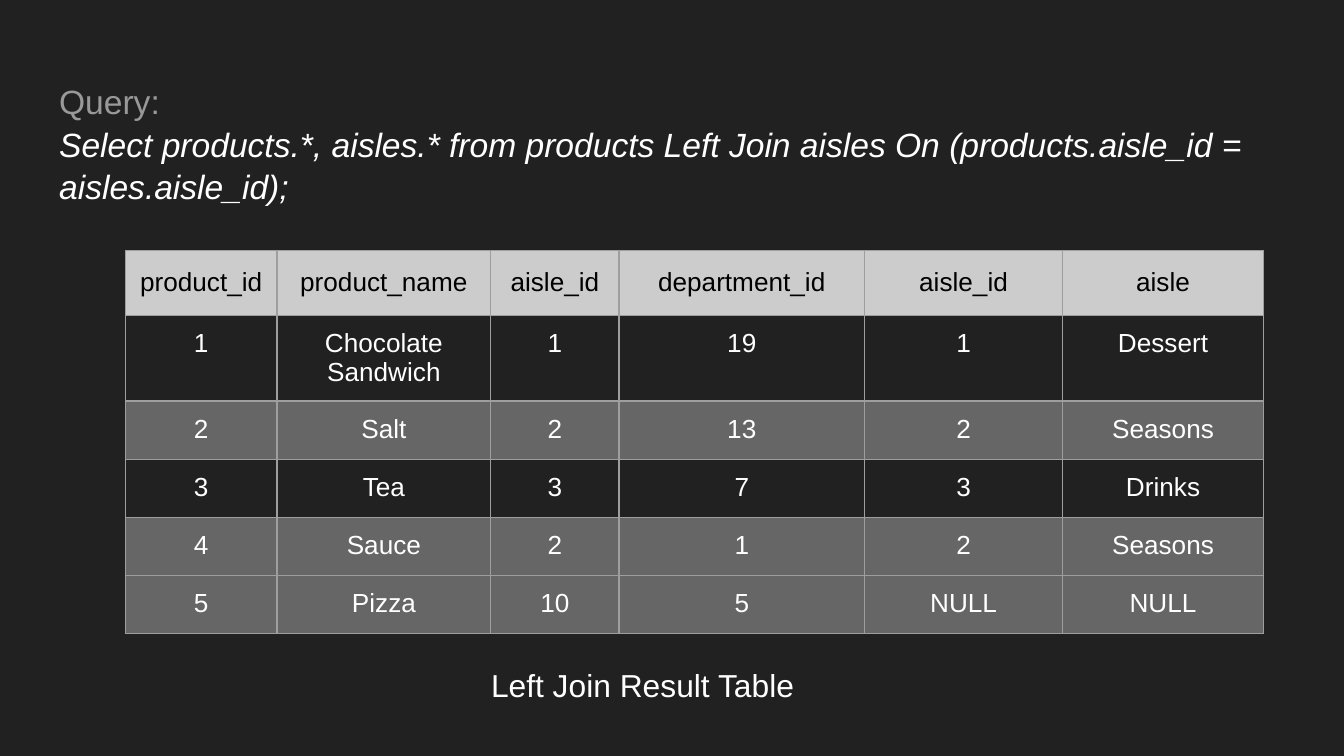
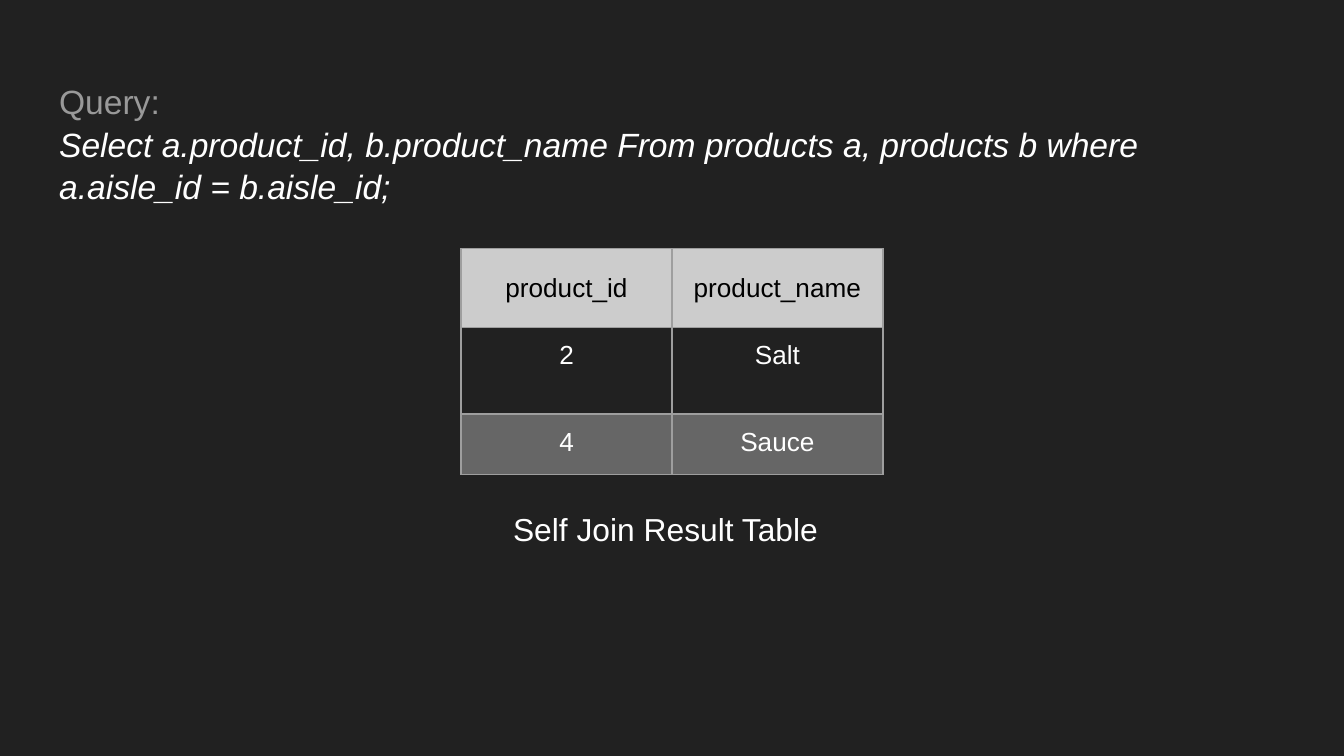
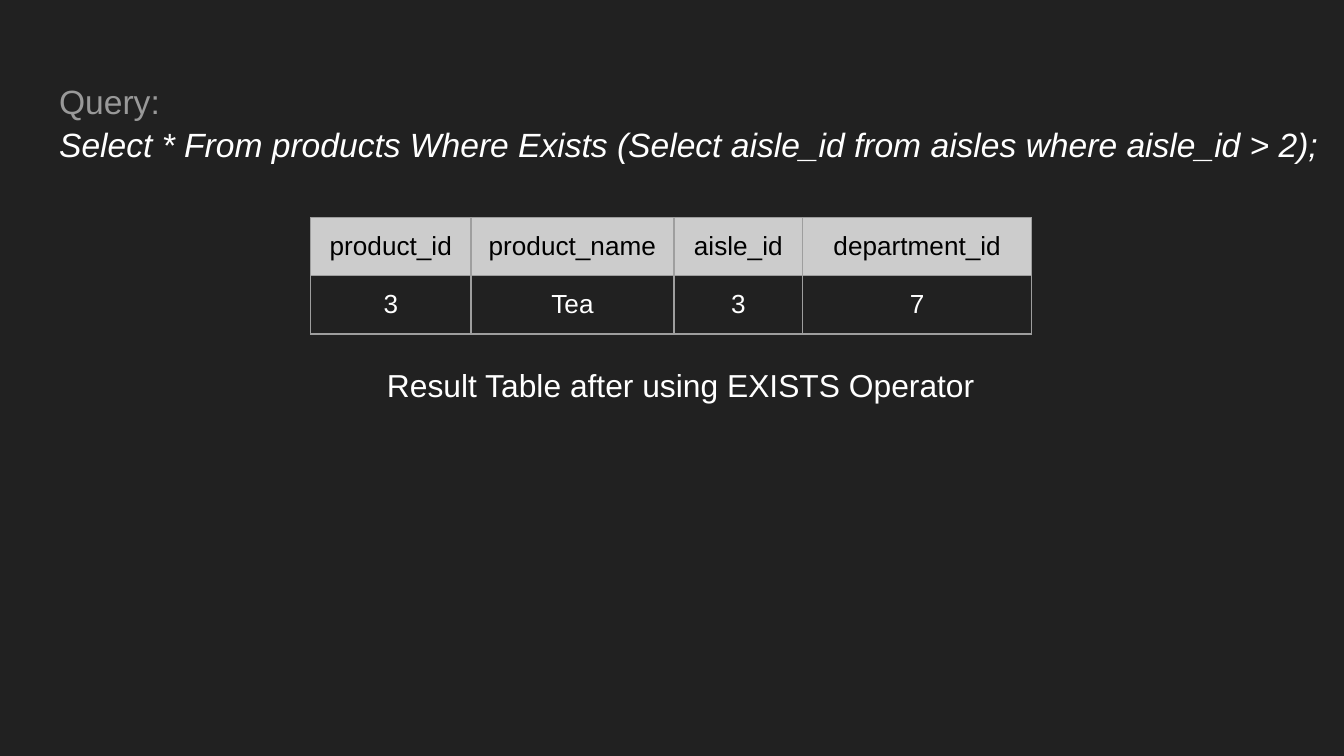
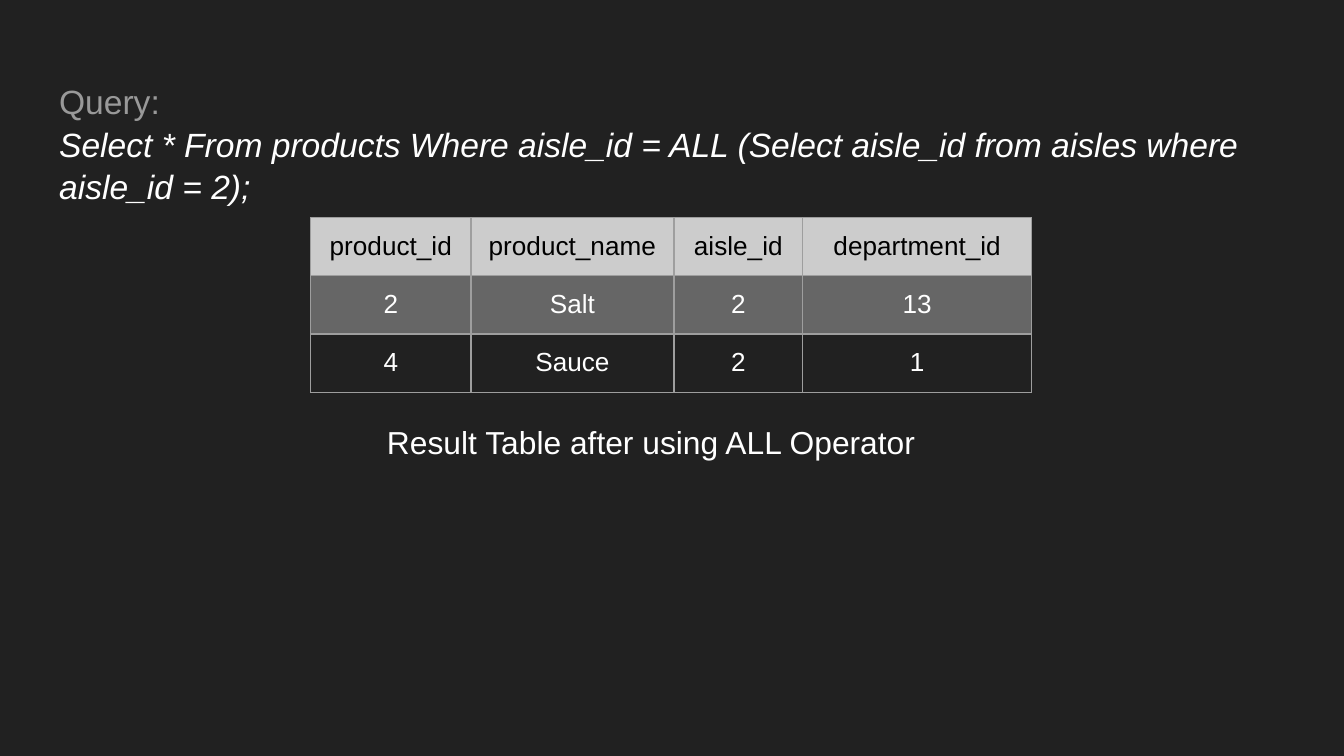
"""Build four slides that show SQL queries with their result tables."""
from dataclasses import dataclass

from lxml import etree
from pptx import Presentation
from pptx.dml.color import RGBColor
from pptx.enum.text import MSO_ANCHOR, MSO_AUTO_SIZE, PP_ALIGN
from pptx.oxml.ns import qn
from pptx.util import Pt

LEFT, CENTER = PP_ALIGN.LEFT, PP_ALIGN.CENTER
TOP, MIDDLE = MSO_ANCHOR.TOP, MSO_ANCHOR.MIDDLE
NO_FIT = MSO_AUTO_SIZE.NONE
TITLE_ONLY = 5


@dataclass(frozen=True)
class Theme:
    font: str = "Arial"
    background: str = "212121"
    text: str = "FFFFFF"
    label: str = "999999"
    header_text: str = "000000"
    header_fill: str = "CCCCCC"
    shade: str = "666666"
    border: str = "9E9E9E"
    query_size: float = 18
    caption_size: float = 17
    cell_size: float = 14
    border_width: float = 0.75
    inset: float = 7.2
    spacing: float = 1.05


def write(p, text, *, font, size, color, italic=False, align=LEFT, spacing=1.0):
    p.alignment = align
    p.line_spacing = spacing
    p.space_before = p.space_after = Pt(0)
    r = p.add_run()
    r.text = text
    r.font.name = font
    r.font.size = Pt(size)
    r.font.italic = italic
    r.font.bold = False
    r.font.color.rgb = RGBColor.from_string(color)


class Deck:
    def __init__(self, theme):
        self.theme = theme
        self.prs = Presentation()
        self.prs.slide_width, self.prs.slide_height = Pt(720), Pt(405)
        fill = self.prs.slide_master.background.fill
        fill.solid()
        fill.fore_color.rgb = RGBColor.from_string(theme.background)
        self.slide = None

    def add_slide(self):
        self.slide = self.prs.slides.add_slide(self.prs.slide_layouts[TITLE_ONLY])

    def set_margins(self, item):
        item.margin_left = item.margin_right = Pt(self.theme.inset)
        item.margin_top = item.margin_bottom = Pt(self.theme.inset)

    def set_frame(self, sp):
        tf = sp.text_frame
        tf.word_wrap = True
        tf.auto_size = NO_FIT
        tf.vertical_anchor = TOP
        self.set_margins(tf)
        return tf

    def query(self, text, width=671, height=45.4):
        t = self.theme
        sp = self.slide.shapes.title
        sp.left, sp.top, sp.width, sp.height = Pt(24.5), Pt(35.3), Pt(width), Pt(height)
        tf = self.set_frame(sp)
        fmt = dict(font=t.font, size=t.query_size, spacing=t.spacing)
        write(tf.paragraphs[0], "Query:", color=t.label, **fmt)
        write(tf.add_paragraph(), text, color=t.text, italic=True, **fmt)

    def caption(self, text, left, top, width):
        t = self.theme
        sp = self.slide.shapes.add_textbox(Pt(left), Pt(top), Pt(width), Pt(45.4))
        tf = self.set_frame(sp)
        write(tf.paragraphs[0], text, font=t.font, size=t.caption_size,
              color=t.text, spacing=t.spacing)

    def border(self, cell):
        tc_pr = cell._tc.get_or_add_tcPr()
        for side in ("lnL", "lnR", "lnT", "lnB"):
            ln = etree.SubElement(tc_pr, qn(f"a:{side}"), w=str(Pt(self.theme.border_width)))
            fill = etree.SubElement(ln, qn("a:solidFill"))
            etree.SubElement(fill, qn("a:srgbClr"), val=self.theme.border)

    def cell(self, cell, text, color, fill, anchor):
        self.set_margins(cell)
        cell.vertical_anchor = anchor
        self.border(cell)
        if fill:
            cell.fill.solid()
            cell.fill.fore_color.rgb = RGBColor.from_string(fill)
        else:
            cell.fill.background()
        write(cell.text_frame.paragraphs[0], text, font=self.theme.font,
              size=self.theme.cell_size, color=color, align=CENTER)

    def table(self, rows, left, top, widths, heights, shaded=()):
        t = self.theme
        frame = self.slide.shapes.add_table(len(rows), len(widths), Pt(left), Pt(top),
                                            Pt(sum(widths)), Pt(sum(heights)))
        table = frame.table
        table.first_row = table.horz_banding = False
        for column, width in zip(table.columns, widths):
            column.width = Pt(width)
        for i, (values, height) in enumerate(zip(rows, heights)):
            table.rows[i].height = Pt(height)
            if i == 0:
                style = t.header_text, t.header_fill, MIDDLE
            else:
                style = t.text, t.shade if i in shaded else None, TOP
            for j, value in enumerate(values):
                self.cell(table.cell(i, j), value, *style)


def main():
    deck = Deck(Theme())
    row_height = 31.2
    product_header = ("product_id", "product_name", "aisle_id", "department_id")
    product_grid = dict(left=166.5, top=116.6, widths=(85.8, 108.8, 69, 122.6))

    deck.add_slide()
    deck.query("Select products.*, aisles.* from products Left Join aisles On "
               "(products.aisle_id = aisles.aisle_id);", height=65.5)
    deck.table([
        product_header + ("aisle_id", "aisle"),
        ("1", "Chocolate Sandwich", "1", "19", "1", "Dessert"),
        ("2", "Salt", "2", "13", "2", "Seasons"),
        ("3", "Tea", "3", "7", "3", "Drinks"),
        ("4", "Sauce", "2", "1", "2", "Seasons"),
        ("5", "Pizza", "10", "5", "NULL", "NULL"),
    ], left=67.2, top=134.2, widths=(81.2, 114.6, 68.7, 131.5, 106.2, 107.5),
        heights=[34.7] + [row_height] * 5, shaded=(2, 4, 5))
    deck.caption("Left Join Result Table", 256, 348.5, 232)

    deck.add_slide()
    deck.query("Select a.product_id, b.product_name From products a, products b "
               "where a.aisle_id = b.aisle_id;")
    deck.table([product_header[:2], ("2", "Salt"), ("4", "Sauce")],
               left=247, top=133.2, widths=(113, 113), heights=(42.3, 46.3, 32.4),
               shaded=(2,))
    deck.caption("Self Join Result Table", 267.8, 265, 232)

    deck.add_slide()
    deck.query("Select * From products Where Exists (Select aisle_id from aisles "
               "where aisle_id > 2);", width=690.5)
    deck.table([product_header, ("3", "Tea", "3", "7")],
               heights=[row_height] * 2, **product_grid)
    deck.caption("Result Table after using EXISTS Operator", 200.2, 187.9, 335)

    deck.add_slide()
    deck.query("Select * From products Where aisle_id = ALL (Select aisle_id from "
               "aisles where aisle_id = 2);")
    deck.table([product_header, ("2", "Salt", "2", "13"), ("4", "Sauce", "2", "1")],
               heights=[row_height] * 3, shaded=(1,), **product_grid)
    deck.caption("Result Table after using ALL Operator", 200.2, 218.2, 320.5)

    deck.prs.save("out.pptx")


if __name__ == "__main__":
    main()
